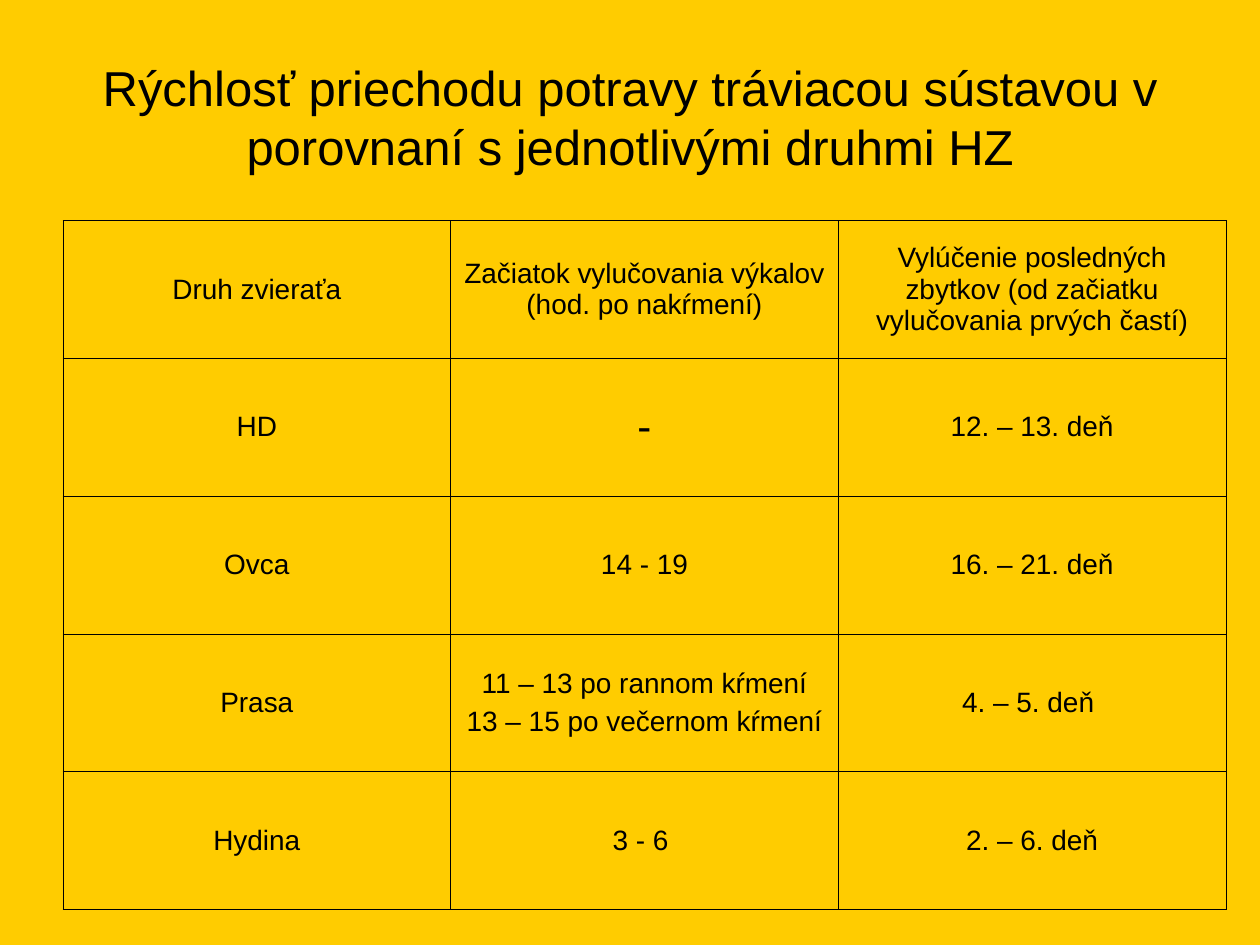
from lxml import etree
from pptx import Presentation
from pptx import util as u
from pptx.dml.color import RGBColor
from pptx.enum import text
from pptx.oxml.ns import qn

COLORS = {"background": "FFCC00", "ink": "000000"}
FONT = "Arial"
TITLE = "Rýchlosť priechodu potravy tráviacou sústavou v porovnaní s jednotlivými druhmi HZ"
ROWS = [
    ["Druh zvieraťa", "Začiatok vylučovania výkalov (hod. po nakŕmení)",
     "Vylúčenie posledných zbytkov (od začiatku vylučovania prvých častí)"],
    ["HD", "-", "12. – 13. deň"],
    ["Ovca", "14 - 19", "16. – 21. deň"],
    ["Prasa", "11 – 13 po rannom kŕmení\n13 – 15 po večernom kŕmení", "4. – 5. deň "],
    ["Hydina", "3 - 6 ", "2. – 6. deň"],
]


def write(frame, content, size=16, color="ink", gap=4):
    frame.word_wrap = True
    for index, line in enumerate(content.split("\n")):
        para = frame.add_paragraph() if index else frame.paragraphs[0]
        para.alignment = text.PP_ALIGN.CENTER
        para.space_before = u.Pt(gap if index else 0)
        span = para.add_run()
        span.text = line
        span.font.name = FONT
        span.font.size = u.Pt(size)
        span.font.color.rgb = RGBColor.from_string(COLORS[color])


class SlideBuilder:
    def __init__(self, page):
        self.page = page
        fill = page.background.fill
        fill.solid()
        fill.fore_color.rgb = RGBColor.from_string(COLORS["background"])

    def title(self, content, left, top, width, height):
        box = self.page.shapes.add_textbox(*map(u.Inches, (left, top, width, height)))
        box.text_frame.vertical_anchor = text.MSO_ANCHOR.MIDDLE
        write(box.text_frame, content, size=28)

    def border(self, cell, width=0.45):
        properties = cell._tc.get_or_add_tcPr()
        for position, side in enumerate(("lnL", "lnR", "lnT", "lnB")):
            line = etree.Element(qn(f"a:{side}"), w=str(u.Pt(width)))
            fill = etree.SubElement(line, qn("a:solidFill"))
            etree.SubElement(fill, qn("a:srgbClr"), val=COLORS["ink"])
            properties.insert(position, line)

    def table(self, rows, left, top, width, height):
        frame = self.page.shapes.add_table(
            len(rows), len(rows[0]), *map(u.Inches, (left, top, width, height)))
        grid = frame.table
        grid.first_row = grid.horz_banding = False
        for row_index, row in enumerate(rows):
            for column_index, content in enumerate(row):
                cell = grid.cell(row_index, column_index)
                cell.fill.background()
                cell.vertical_anchor = text.MSO_ANCHOR.MIDDLE
                write(cell.text_frame, content, size=24 if content == "-" else 16)
                self.border(cell)


def main():
    deck = Presentation()
    deck.slide_width, deck.slide_height = u.Inches(10), u.Inches(7.5)
    builder = SlideBuilder(deck.slides.add_slide(deck.slide_layouts[6]))
    builder.title(TITLE, 0.5, 0.3, 9, 1.25)
    builder.table(ROWS, 0.5, 1.75, 9.23, 5.47)
    deck.save("out.pptx")


if __name__ == "__main__":
    main()
